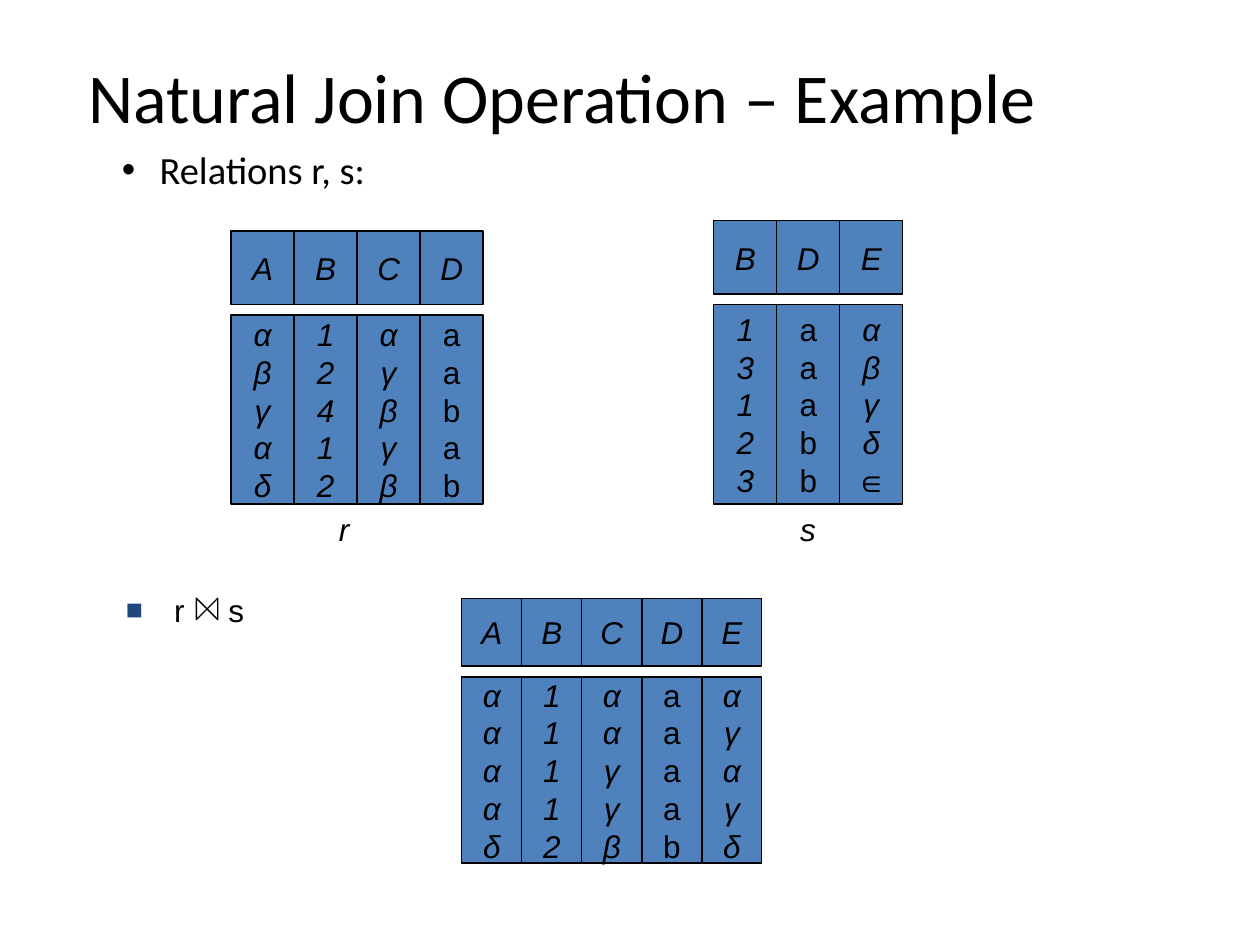
from lxml import etree
from pptx import Presentation
from pptx.dml.color import RGBColor as RGB
from pptx.enum.shapes import MSO_SHAPE as Shape
from pptx.enum.text import MSO_ANCHOR as Anchor, MSO_AUTO_SIZE as Auto, PP_ALIGN as Align
from pptx.oxml.ns import qn
from pptx.util import Cm, Pt

BLACK = RGB(0x00, 0x00, 0x00)
BLUE = RGB(0x4F, 0x81, 0xBD)
NAVY = RGB(0x1F, 0x49, 0x7D)

deck = Presentation()
deck.slide_width, deck.slide_height = Cm(25.4), Cm(19.05)
slide = deck.slides.add_slide(deck.slide_layouts[6])
shapes = slide.shapes


def write(shape, text, size, face="Arial", italic=False, align=Align.CENTER, wrap=False):
    frame = shape.text_frame
    frame.text = text
    frame.word_wrap = wrap
    frame.vertical_anchor = Anchor.MIDDLE
    for para in frame.paragraphs:
        para.alignment = align
        font = para.font
        font.name, font.size, font.italic = face, Pt(size), italic
        font.color.rgb = BLACK
    return frame.paragraphs[0]


def bullet(para, mark, color, indent, scale):
    props = para._p.get_or_add_pPr()
    props.set("marL", str(Cm(indent)))
    props.set("indent", str(-Cm(indent)))
    # Bullet settings must come before the default run properties
    spot = props.find(qn("a:defRPr"))
    tint = etree.Element(qn("a:buClr"))
    etree.SubElement(tint, qn("a:srgbClr")).set("val", str(color))
    size = etree.Element(qn("a:buSzPct"), val=str(scale * 1000))
    face = etree.Element(qn("a:buFont"), typeface="Arial")
    sign = etree.Element(qn("a:buChar"), char=mark)
    for item in (tint, size, face, sign):
        if spot is None:
            props.append(item)
        else:
            spot.addprevious(item)


# Title
box = shapes.add_textbox(Cm(1.27), Cm(0.89), Cm(20.12), Cm(2.08))
write(box, "Natural Join Operation – Example", 40, "Calibri", wrap=True)

# First bullet
box = shapes.add_textbox(Cm(2.21), Cm(3), Cm(19), Cm(1.07))
para = write(box, "Relations r, s:", 22, "Calibri", align=Align.LEFT, wrap=True)
box.text_frame.vertical_anchor = Anchor.TOP
para.line_spacing, para.space_before = 0.8, Pt(5.5)
bullet(para, "•", BLACK, 0.76, 100)

# Relations: left, column width, (top, height) of head and body, columns
tables = [
    (4.66, 1.27, (4.66, 1.48), (6.35, 3.81),
     {"A": "αβγαδ", "B": "12412", "C": "αγβγβ", "D": "aabab"}),
    (14.39, 1.27, (4.45, 1.48), (6.14, 4.02),
     {"B": "13123", "D": "aaabb", "E": "αβγδ∈"}),
    (9.31, 1.21, (12.06, 1.37), (13.65, 3.75),
     {"A": "ααααδ", "B": "11112", "C": "ααγγβ", "D": "aaaab", "E": "αγαγδ"}),
]
for left, width, head, body, cols in tables:
    for col, (name, vals) in enumerate(cols.items()):
        for (top, high), text in ((head, name), (body, "\n".join(vals))):
            cell = shapes.add_shape(Shape.RECTANGLE, Cm(left + col * width),
                                    Cm(top), Cm(width), Cm(high))
            cell.shadow.inherit = False
            cell.fill.solid()
            cell.fill.fore_color.rgb = BLUE
            cell.line.color.rgb = BLACK
            cell.line.width = Pt(0.75)
            write(cell, text, 18, italic=text[0] not in "ab")

# Relation names
for left, width, name in ((6.58, 0.71, "r"), (15.88, 0.81, "s")):
    box = shapes.add_textbox(Cm(left), Cm(10.16), Cm(width), Cm(1.02))
    para = write(box, name, 18, italic=True)
    para.space_before = Pt(11.2)
    box.text_frame.auto_size = Auto.SHAPE_TO_FIT_TEXT

# Join expression: a widened space leaves room for the join sign
box = shapes.add_textbox(Cm(2.29), Cm(11.79), Cm(19.53), Cm(1.14))
para = write(box, "r", 18, align=Align.LEFT, wrap=True)
box.text_frame.vertical_anchor = Anchor.TOP
para.space_before = Pt(7.9)
bullet(para, "■", NAVY, 0.97, 90)
gap, last = para.add_run(), para.add_run()
gap.text, last.text = " ", "s"
gap.font._element.set("spc", "2000")

# Join sign
sign = shapes.add_shape(Shape.FLOWCHART_COLLATE, Cm(3.96), Cm(12.06), Cm(0.43), Cm(0.43))
sign.rotation = 270
sign.shadow.inherit = False
sign.fill.background()
sign.line.color.rgb = BLACK
sign.line.width = Pt(0.75)

deck.save("out.pptx")
